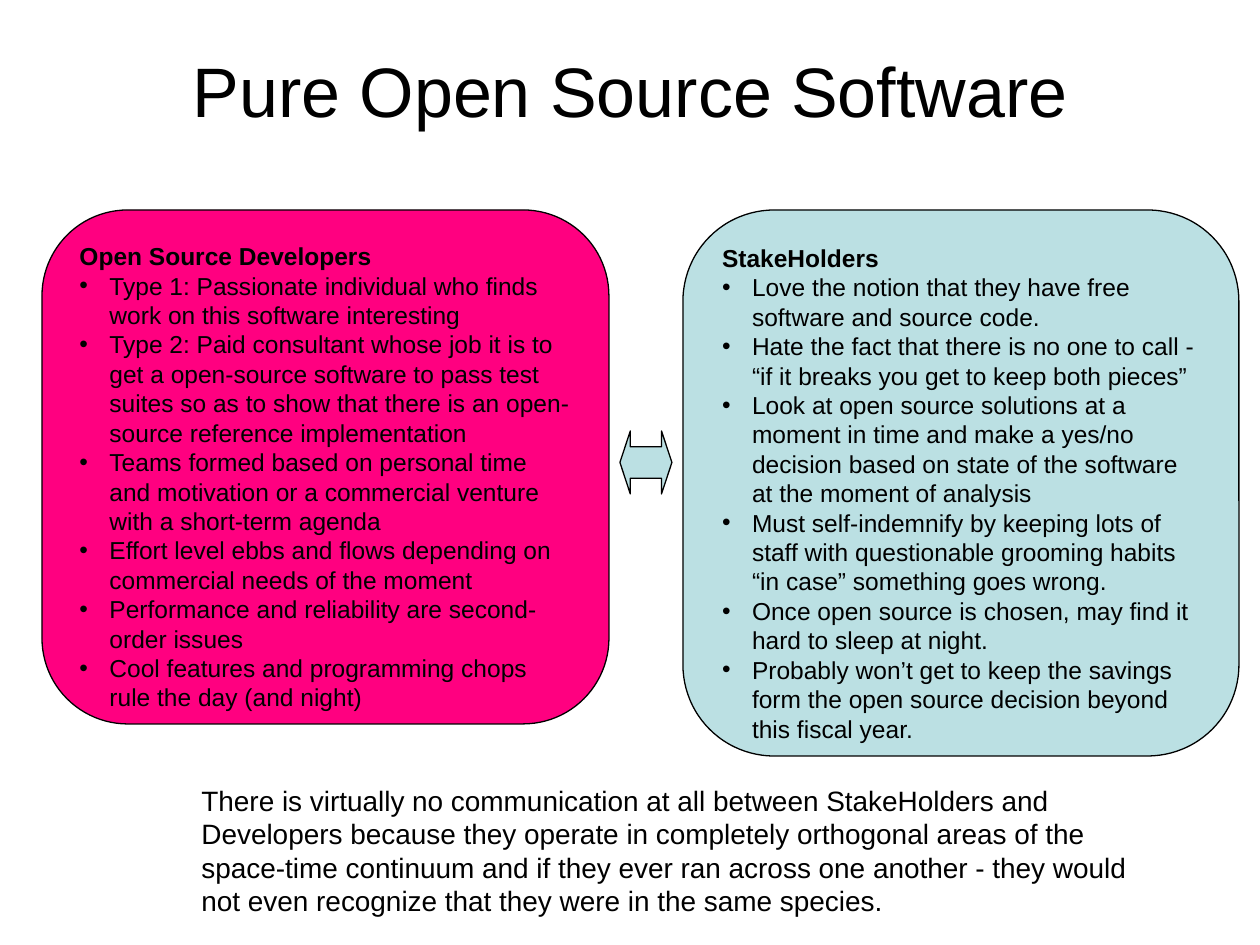
from lxml import etree
from pptx import Presentation
from pptx import util as u
from pptx.dml.color import RGBColor
from pptx.enum import shapes, text
from pptx.oxml import ns

PX = 914400 / 126
BLACK = RGBColor(0x00, 0x00, 0x00)
PINK = RGBColor(0xFF, 0x00, 0x80)
PALE_BLUE = RGBColor(0xBB, 0xE0, 0xE3)
HANGING_INDENT = 30


def px(*lengths):
    return [u.Emu(round(length * PX)) for length in lengths]


def add_text(paragraph, words, size, bold=False, align=text.PP_ALIGN.LEFT):
    paragraph.alignment = align
    run = paragraph.add_run()
    run.text = words
    run.font.name = "Arial"
    run.font.size = u.Pt(size)
    run.font.bold = bold
    run.font.color.rgb = BLACK


presentation = Presentation()
presentation.slide_width, presentation.slide_height = px(1260, 945)
slide = presentation.slides.add_slide(presentation.slide_layouts[5])

# Title
title = slide.shapes.title
title.left, title.top, title.width, title.height = px(94, 10, 1072, 158)
title.text_frame.auto_size = text.MSO_AUTO_SIZE.NONE
title.text_frame.vertical_anchor = text.MSO_ANCHOR.MIDDLE
add_text(title.text_frame.paragraphs[0], "Pure Open Source Software", 40,
         align=text.PP_ALIGN.CENTER)

# The two groups and the arrow between them: preset, box, fill, adjustments, heading, points
ROUNDED = shapes.MSO_SHAPE.ROUNDED_RECTANGLE
ARROW = shapes.MSO_SHAPE.LEFT_RIGHT_ARROW
parts = [
    (ROUNDED, (42, 210, 567, 514), PINK, [0.167], "Open Source Developers", [
        "Type 1: Passionate individual who finds work on this software interesting",
        "Type 2: Paid consultant whose job it is to get a open-source software to pass "
        "test suites so as to show that there is an open-source reference implementation",
        "Teams formed based on personal time and motivation or a commercial venture "
        "with a short-term agenda",
        "Effort level ebbs and flows depending on commercial needs of the moment",
        "Performance and reliability are second-order issues",
        "Cool features and programming chops rule the day (and night)",
    ]),
    (ROUNDED, (683, 210, 556, 546), PALE_BLUE, [0.167], "StakeHolders", [
        "Love the notion that they have free software and source code.",
        "Hate the fact that there is no one to call - “if it breaks you get to keep "
        "both pieces”",
        "Look at open source solutions at a moment in time and make a yes/no decision "
        "based on state of the software at the moment of analysis",
        "Must self-indemnify by keeping lots of staff with questionable grooming habits "
        "“in case” something goes wrong.",
        "Once open source is chosen, may find it hard to sleep at night.",
        "Probably won’t get to keep the savings form the open source decision beyond "
        "this fiscal year.",
    ]),
    (ARROW, (620, 431, 52, 63), PALE_BLUE, [0.5, 0.2], None, []),
]
for preset, box, fill, adjustments, heading, points in parts:
    shape = slide.shapes.add_shape(preset, *px(*box))
    shape.shadow.inherit = False
    shape.fill.solid()
    shape.fill.fore_color.rgb = fill
    shape.line.color.rgb = BLACK
    shape.line.width = u.Pt(0.75)
    for index, value in enumerate(adjustments):
        shape.adjustments[index] = value
    if not heading:
        continue
    frame = shape.text_frame
    frame.word_wrap = True
    frame.vertical_anchor = text.MSO_ANCHOR.TOP
    add_text(frame.paragraphs[0], heading, 14, bold=True)
    for point in points:
        paragraph = frame.add_paragraph()
        properties = paragraph._p.get_or_add_pPr()
        indent = px(HANGING_INDENT)[0]
        properties.set("marL", str(indent))
        properties.set("indent", str(-indent))
        etree.SubElement(properties, ns.qn("a:buFont"), typeface="Arial")
        etree.SubElement(properties, ns.qn("a:buChar"), char="•")
        add_text(paragraph, point, 14)

# Closing remark
remark = slide.shapes.add_textbox(*px(189, 777, 987, 147)).text_frame
remark.word_wrap = True
remark.auto_size = text.MSO_AUTO_SIZE.SHAPE_TO_FIT_TEXT
add_text(remark.paragraphs[0],
         "There is virtually no communication at all between StakeHolders and Developers "
         "because they operate in completely orthogonal areas of the space-time continuum "
         "and if they ever ran across one another - they would not even recognize that "
         "they were in the same species.", 16)

presentation.save("out.pptx")
